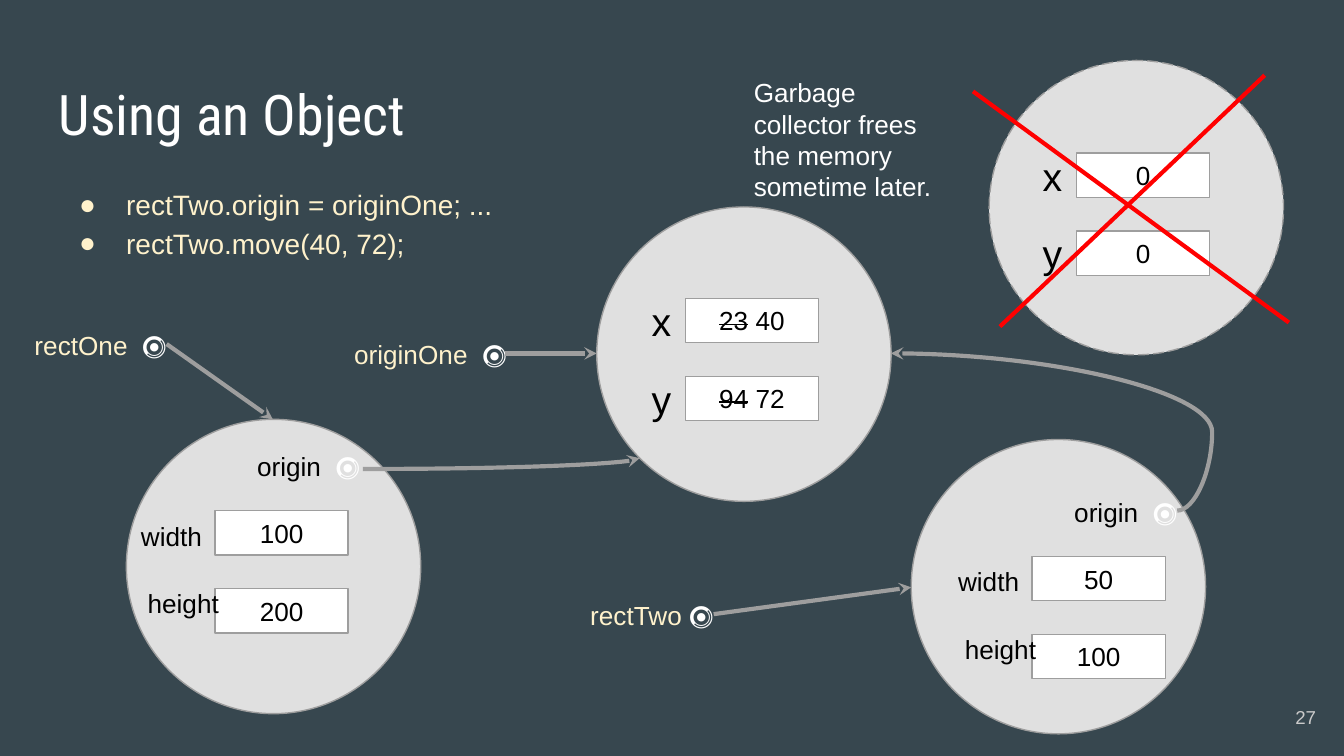
from lxml.etree import SubElement
from pptx import Presentation
from pptx.dml.color import RGBColor
from pptx.enum.dml import MSO_LINE
from pptx.enum.shapes import MSO_CONNECTOR, MSO_SHAPE
from pptx.enum.text import MSO_ANCHOR, PP_ALIGN
from pptx.oxml.ns import qn
from pptx.util import Inches, Pt

# Content
BACK, WHITE, BLACK, CREAM = "37474F", "FFFFFF", "000000", "FFF2CC"
DISC, GREY, RED = "E0E0E0", "9E9E9E", "FF0000"

TITLE = "Using an Object"
BULLETS = ["rectTwo.origin = originOne; ...", "rectTwo.move(40, 72);"]
NOTE = "Garbage collector frees the memory sometime later."
DOT = " 🔘"

# Objects: circle corner, first cell corner, fields as (name, old value, value)
OBJECTS = [
    {"disc": (4.44, 1.54), "cell": (5.1, 2.22),
     "fields": [("x", "23", " 40"), ("y", "94", " 72")]},
    {"disc": (0.94, 3.12), "cell": (1.6, 3.8), "origin": True,
     "fields": [("width", "", "100"), ("height", "", "200")]},
    {"disc": (6.78, 3.27), "cell": (7.68, 4.14), "origin": True,
     "fields": [("width", "", "50"), ("height", "", "100")]},
    {"disc": (7.36, 0.45), "cell": (8.01, 1.14), "freed": True,
     "fields": [("x", "", "0"), ("y", "", "0")]},
]
SIZE, STEP, CELL = 2.19, 0.58, (0.99, 0.33)

# Field labels: offset from the cell, width, text size
LABELS = {
    "x": (-0.35, -0.11, 0.34, 21),
    "y": (-0.35, -0.11, 0.34, 21),
    "width": (-0.65, -0.03, 0.99, 14),
    "height": (-0.6, -0.11, 0.82, 14),
}

# Variables: name, left, top
NAMES = [("originOne ", 2.27, 2.42), ("rectOne ", -0.26, 2.35),
         ("rectTwo", 3.81, 4.36)]

# Arrows: start, end, curve preset, curve adjustment
ARROWS = [
    ((3.76, 2.63), (4.44, 2.63), None, None),
    ((1.24, 2.56), (2.03, 3.12), None, None),
    ((5.31, 4.57), (6.78, 4.37), None, None),
    ((2.7, 3.49), (4.76, 3.41), "curvedConnector2", None),
    ((8.76, 3.8), (6.63, 2.63), "curvedConnector3", -12200),
]
CROSS = [((7.24, 0.68), (9.59, 2.4)), ((9.41, 0.56), (7.44, 2.43))]

# Widescreen page, 16 by 9
deck = Presentation()
deck.slide_width = Inches(10)
deck.slide_height = Inches(10 * 9 / 16)
slide = deck.slides.add_slide(deck.slide_layouts[6])
shapes = slide.shapes


def color(code):
    return RGBColor.from_string(code)


def style(run, size, code, font="Arial"):
    run.font.size, run.font.name = Pt(size), font
    run.font.color.rgb = color(code)


def setup(frame, right=0.1):
    frame.word_wrap = True
    frame.margin_left = frame.margin_top = frame.margin_bottom = Inches(0.1)
    frame.margin_right = Inches(right)


def label(text, box, size, code, font="Arial", right=0.1):
    frame = shapes.add_textbox(*map(Inches, box)).text_frame
    setup(frame, right)
    frame.text = text
    for para in frame.paragraphs:
        style(para.runs[0], size, code, font)
    return frame


def pointer(text, left, top, code):
    para = label(text, (left, top, 1.5, 0.43), 14, code, right=0).paragraphs[0]
    para.alignment = PP_ALIGN.RIGHT
    run = para.add_run()
    run.text = DOT
    style(run, 14, WHITE)


def solid(kind, box, fill):
    shape = shapes.add_shape(kind, *map(Inches, box))
    shape.shadow.inherit = False
    shape.fill.solid()
    shape.fill.fore_color.rgb = color(fill)
    shape.line.color.rgb = color(GREY)
    shape.line.width = Pt(0.75)
    return shape


def value(old, new, left, top):
    frame = solid(MSO_SHAPE.RECTANGLE, (left, top, *CELL), WHITE).text_frame
    setup(frame)
    frame.vertical_anchor = MSO_ANCHOR.MIDDLE
    para = frame.paragraphs[0]
    para.alignment = PP_ALIGN.CENTER
    for text in filter(None, (old, new)):
        run = para.add_run()
        run.text = text
        style(run, 14, BLACK)
        if text == old:
            run.font._element.set("strike", "sngStrike")


def line(start, end, code, kind=MSO_CONNECTOR.STRAIGHT):
    link = shapes.add_connector(kind, *map(Inches, start + end))
    link.line.color.rgb = color(code)
    link.line.width = Pt(2.25)
    SubElement(link._element.spPr, qn("a:effectLst"))
    return link


def arrow(start, end, curve, adjust):
    kind = MSO_CONNECTOR.CURVE if curve else MSO_CONNECTOR.STRAIGHT
    props = line(start, end, GREY, kind)._element.spPr
    SubElement(props.find(qn("a:ln")), qn("a:tailEnd"), type="stealth")
    if curve:
        shape = props.find(qn("a:prstGeom"))
        shape.set("prst", curve)
        if adjust is not None:
            SubElement(shape.find(qn("a:avLst")), qn("a:gd"),
                       name="adj1", fmla=f"val {adjust}")


# Background, title, bullets and page number
slide.background.fill.solid()
slide.background.fill.fore_color.rgb = color(BACK)
label(TITLE, (0.34, 0.49, 9.32, 0.63), 30, WHITE, "Roboto Condensed")
body = label("\n".join(BULLETS), (0.34, 1.26, 9.32, 0.55), 15, CREAM)
for para in body.paragraphs:
    para.line_spacing = 1.15
    props = para._element.get_or_add_pPr()
    props.set("marL", str(Inches(0.5)))
    props.set("indent", str(Inches(-0.35)))
    tint = SubElement(props, qn("a:buClr"))
    SubElement(tint, qn("a:srgbClr"), val=CREAM)
    SubElement(props, qn("a:buFont"), typeface="Arial")
    SubElement(props, qn("a:buChar"), char="●")
page = label("27", (9.29, 5.12, 0.6, 0.43), 10, "CACACA")
page.vertical_anchor = MSO_ANCHOR.MIDDLE
page.paragraphs[0].alignment = PP_ALIGN.RIGHT

# Objects with their fields
for item in OBJECTS:
    disc = solid(MSO_SHAPE.OVAL, (*item["disc"], SIZE, SIZE), DISC)
    if item.get("freed"):
        disc.line.dash_style = MSO_LINE.LONG_DASH
    left, top = item["cell"]
    for row, (name, old, new) in enumerate(item["fields"]):
        y = top + row * STEP
        value(old, new, left, y)
        dx, dy, width, size = LABELS[name]
        label(name, (left + dx, y + dy, width, 0.43), size, BLACK)
    if item.get("origin"):
        pointer("origin ", left - 0.42, top - 0.55, BLACK)

# Variables and references
for name, left, top in NAMES:
    pointer(name, left, top, CREAM)
for part in ARROWS:
    arrow(*part)

# Freed object
for start, end in CROSS:
    line(start, end, RED)
label(NOTE, (5.51, 0.47, 1.68, 0.62), 14, WHITE)

deck.save("out.pptx")
